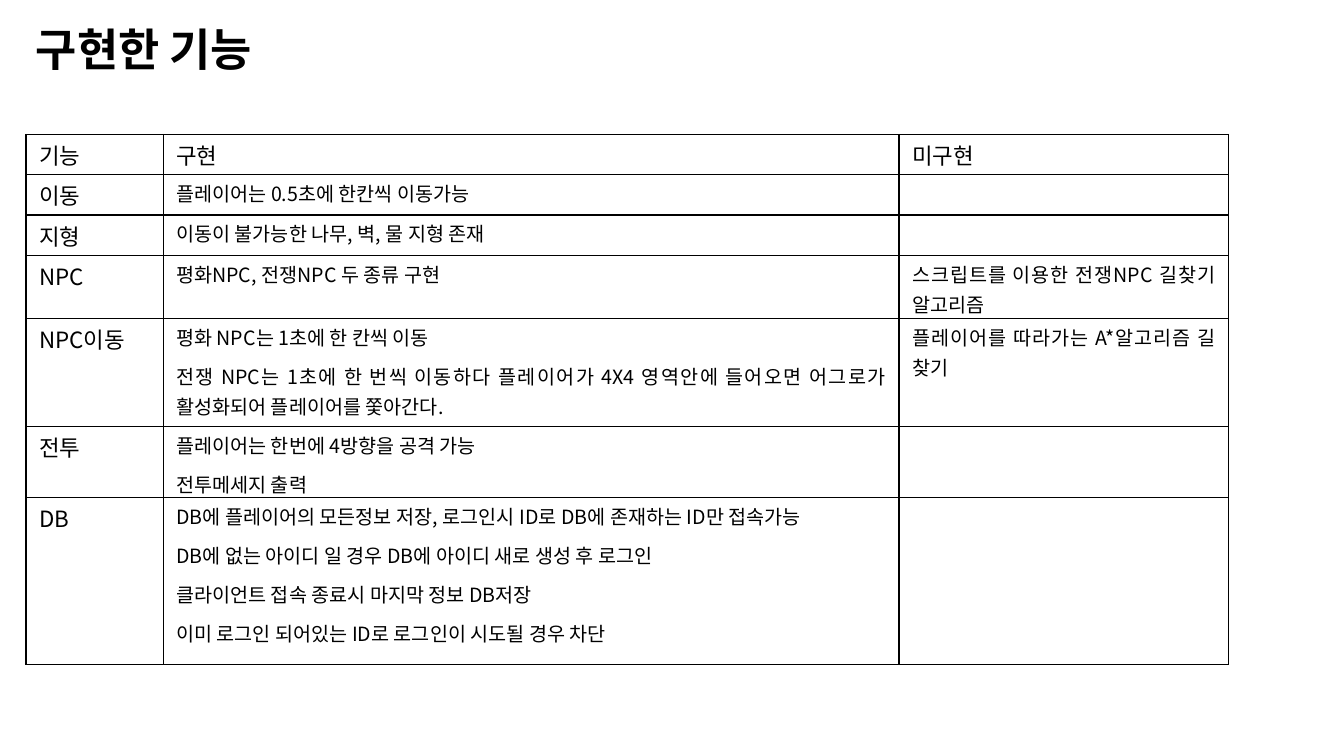
"""Build the slide that lists implemented and unimplemented game features."""
from lxml import etree
from pptx import Presentation
from pptx import util as u
from pptx.dml.color import RGBColor
from pptx.enum import text
from pptx.oxml import ns

FONT = "Noto Sans CJK KR"
BLACK = "000000"
COLUMN_WIDTHS = [98, 525.6, 235.4]
ROWS = [
    (28.8, "기능", ["구현"], ["미구현"]),
    (28.8, "이동", ["플레이어는 0.5초에 한칸씩 이동가능"], []),
    (28.8, "지형", ["이동이 불가능한 나무, 벽, 물 지형 존재"], []),
    (28.8, "NPC", ["평화NPC, 전쟁NPC 두 종류 구현"],
     ["스크립트를 이용한 전쟁NPC 길찾기 알고리즘"]),
    (77, "NPC이동",
     ["평화 NPC는 1초에 한 칸씩 이동",
      "전쟁 NPC는 1초에 한 번씩 이동하다 플레이어가 4X4 영역안에 들어오면 "
      "어그로가 활성화되어 플레이어를 쫓아간다."],
     ["플레이어를 따라가는 A*알고리즘 길 찾기"]),
    (46, "전투", ["플레이어는 한번에 4방향을 공격 가능", "전투메세지 출력"], []),
    (119, "DB",
     ["DB에 플레이어의 모든정보 저장, 로그인시 ID로 DB에 존재하는 ID만 접속가능",
      "DB에 없는 아이디 일 경우 DB에 아이디 새로 생성 후 로그인",
      "클라이언트 접속 종료시 마지막 정보 DB저장",
      "이미 로그인 되어있는 ID로 로그인이 시도될 경우 차단"], []),
]
CELL_FORMAT = {"margin_left": u.Pt(9.4), "margin_right": u.Pt(9.4),
               "margin_top": u.Pt(1.4), "margin_bottom": u.Pt(0)}
PARA_FORMAT = {"alignment": text.PP_ALIGN.JUSTIFY, "line_spacing": 1.07,
               "space_after": u.Pt(6)}


def add_span(para, words, size, bold=False):
    span = para.add_run()
    span.text = words
    for name, value in {"name": FONT, "size": u.Pt(size), "bold": bold}.items():
        setattr(span.font, name, value)
    span.font.color.rgb = RGBColor.from_string(BLACK)
    east_asian = etree.Element(ns.qn("a:ea"), typeface=FONT)
    span.font._element.find(ns.qn("a:latin")).addnext(east_asian)


def add_borders(cell):
    properties = cell._tc.get_or_add_tcPr()
    for position, side in enumerate(["lnL", "lnR", "lnT", "lnB"]):
        line = etree.Element(ns.qn(f"a:{side}"), w=str(u.Pt(1)))
        fill = etree.SubElement(line, ns.qn("a:solidFill"))
        etree.SubElement(fill, ns.qn("a:srgbClr"), val=BLACK)
        properties.insert(position, line)


deck = Presentation()
deck.slide_width, deck.slide_height = u.Pt(960), u.Pt(540)
page = deck.slides.add_slide(deck.slide_layouts[6])

frame = page.shapes.add_table(len(ROWS), len(COLUMN_WIDTHS), u.Pt(18.5), u.Pt(96),
                              u.Pt(sum(COLUMN_WIDTHS)), u.Pt(sum(row[0] for row in ROWS)))
table = frame.table
table.first_row = table.horz_banding = False
for column, width in zip(table.columns, COLUMN_WIDTHS):
    column.width = u.Pt(width)

for row_index, (height, feature, done, missing) in enumerate(ROWS):
    table.rows[row_index].height = u.Pt(height)
    for column_index, lines in enumerate([[feature], done, missing]):
        cell = table.cell(row_index, column_index)
        for name, value in CELL_FORMAT.items():
            setattr(cell, name, value)
        cell.fill.background()
        add_borders(cell)
        size = 16 if row_index == 0 or column_index == 0 else 14
        for line_index, words in enumerate(lines):
            body = cell.text_frame
            para = body.add_paragraph() if line_index else body.paragraphs[0]
            for name, value in PARA_FORMAT.items():
                setattr(para, name, value)
            add_span(para, words, size)

title = page.shapes.add_textbox(u.Pt(18.5), u.Pt(12), u.Pt(200), u.Pt(46))
title.text_frame.word_wrap = False
title.text_frame.auto_size = text.MSO_AUTO_SIZE.SHAPE_TO_FIT_TEXT
add_span(title.text_frame.paragraphs[0], "구현한 기능", 32, bold=True)

deck.save("out.pptx")
